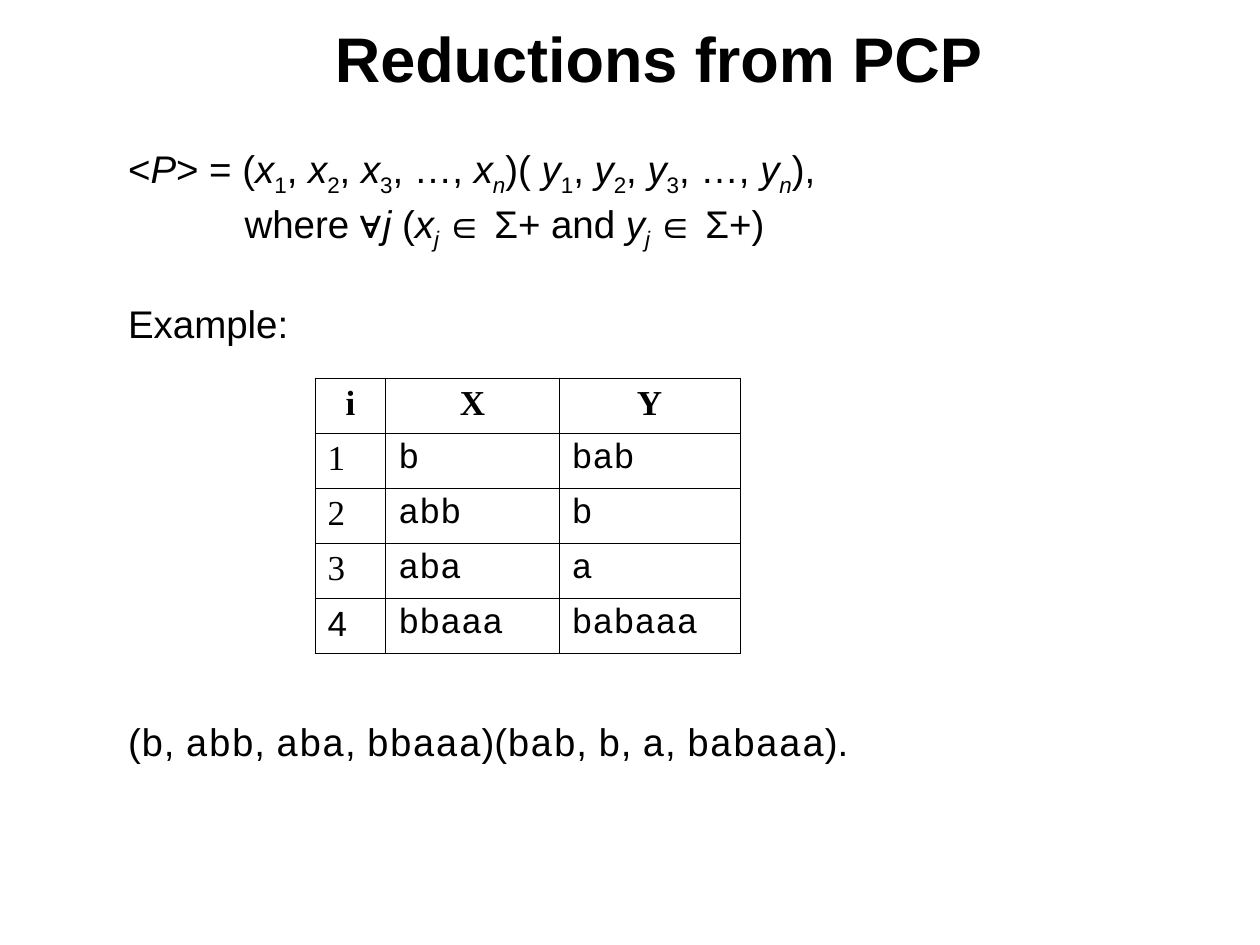
"""Build the slide that introduces reductions from PCP."""
from lxml import etree
from pptx import Presentation
from pptx.dml.color import RGBColor
from pptx.enum.text import MSO_ANCHOR, MSO_AUTO_SIZE, PP_ALIGN
from pptx.oxml.ns import qn
from pptx.util import Inches, Pt

CENTER, LEFT = PP_ALIGN.CENTER, PP_ALIGN.LEFT
TOP, MIDDLE = MSO_ANCHOR.TOP, MSO_ANCHOR.MIDDLE
NO_AUTOFIT = MSO_AUTO_SIZE.NONE

COLORS = {"ink": "000000", "paper": "FFFFFF"}
SANS, SERIF, MONO = "Arial", "Times New Roman", "Courier New"
GRID_COLUMNS, GRID_ROWS = 120, 90
UNIT = Inches(10) / GRID_COLUMNS

TOP_WORDS = ["b", "abb", "aba", "bbaaa"]
BOTTOM_WORDS = ["bab", "b", "a", "babaaa"]


def units(count):
    """Turn a count of grid units into a length."""
    return round(count * UNIT)


def place(shape, left, top, width, height):
    """Put a shape on the grid."""
    frame = {"left": left, "top": top, "width": width, "height": height}
    for name, count in frame.items():
        setattr(shape, name, units(count))


def add_run(paragraph, text, size, font=SANS, bold=False, italic=False, subscript=False):
    """Add one formatted run to a paragraph."""
    run = paragraph.add_run()
    run.text = text
    values = {"name": font, "size": Pt(size), "bold": bold, "italic": italic}
    for name, value in values.items():
        setattr(run.font, name, value)
    run.font.color.rgb = RGBColor.from_string(COLORS["ink"])
    if subscript:
        run.font._element.set("baseline", "-25000")


def indexed(letter, index):
    """Return the runs of an italic variable with its subscript."""
    return [(letter, {"italic": True}),
            (index, {"subscript": True, "italic": not index.isdigit()})]


def variable_list(letter):
    """Return the runs of a list of variables from 1 to n."""
    runs = []
    for index in "123":
        runs += indexed(letter, index) + [(", ", {})]
    return runs[:-1] + [(", …, ", {})] + indexed(letter, "n")


def word_list(words):
    """Return the runs of monospaced words parted by commas."""
    runs = []
    for word in words:
        runs += [(word, {"font": MONO}), (", ", {})]
    return runs[:-1]


def body_lines():
    """Return space before, indent and runs for each body line."""
    instance = [("<", {}), ("P", {"italic": True}), ("> = (", {}), *variable_list("x"),
                (")( ", {}), *variable_list("y"), ("),", {})]
    condition = [("where ∀", {}), ("j", {"italic": True}), (" (", {}),
                 *indexed("x", "j "), ("∈ Σ+ and ", {}),
                 *indexed("y", "j "), ("∈ Σ+)", {})]
    example = [("(", {}), *word_list(TOP_WORDS), (")(", {}),
               *word_list(BOTTOM_WORDS), (").", {})]
    return [(0, 0, instance), (1, 11.1, condition),
            (27.5, 0, [("Example:", {})]), (212.5, 0, example)]


def format_frame(frame, anchor):
    """Set the wrapping, fitting and anchor of a text frame."""
    values = {"word_wrap": True, "auto_size": NO_AUTOFIT, "vertical_anchor": anchor}
    for name, value in values.items():
        setattr(frame, name, value)


def fill_title(title):
    """Write the slide title."""
    place(title, 7, 0, 113, 11)
    format_frame(title.text_frame, MIDDLE)
    paragraph = title.text_frame.paragraphs[0]
    paragraph.alignment = CENTER
    add_run(paragraph, "Reductions from PCP ", 36, bold=True)


def fill_body(body):
    """Write the definition and the example."""
    place(body, 11, 13.25, 106, 59.5)
    frame = body.text_frame
    format_frame(frame, TOP)
    for number, (space, indent, runs) in enumerate(body_lines()):
        paragraph = frame.add_paragraph() if number else frame.paragraphs[0]
        properties = paragraph._p.get_or_add_pPr()
        properties.set("marL", str(units(indent)))
        properties.set("indent", "0")
        etree.SubElement(properties, qn("a:buNone"))
        paragraph.space_before = Pt(space)
        paragraph.alignment = LEFT
        for text, style in runs:
            add_run(paragraph, text, 22, **style)


def add_borders(cell):
    """Draw thin lines on all sides of a cell."""
    properties = cell._tc.get_or_add_tcPr()
    for side in ("lnL", "lnR", "lnT", "lnB"):
        line = etree.SubElement(properties, qn(f"a:{side}"), w=str(Pt(0.45)))
        fill = etree.SubElement(line, qn("a:solidFill"))
        etree.SubElement(fill, qn("a:srgbClr"), val=COLORS["ink"])


def fill_cell(cell, text, font, heading):
    """Write and format one table cell."""
    add_borders(cell)
    cell.fill.background()
    paragraph = cell.text_frame.paragraphs[0]
    paragraph.alignment = CENTER if heading else LEFT
    add_run(paragraph, text, 20, font, bold=heading)


def add_word_table(slide):
    """Add the table of word pairs."""
    pairs = zip(TOP_WORDS, BOTTOM_WORDS)
    rows = [("i", "X", "Y")] + [(str(i), *pair) for i, pair in enumerate(pairs, 1)]
    widths, row_height = [6.75, 16.5, 17.25], 5.25
    shape = slide.shapes.add_table(
        len(rows), len(widths), units(30), units(36),
        units(sum(widths)), units(row_height * len(rows)))
    table = shape.table
    table.first_row = table.horz_banding = False
    for column, width in zip(table.columns, widths):
        column.width = units(width)
    for row_number, row in enumerate(rows):
        table.rows[row_number].height = units(row_height)
        index_font = SANS if row_number == len(rows) - 1 else SERIF
        for column_number, text in enumerate(row):
            heading = row_number == 0
            font = MONO if column_number and not heading else index_font
            fill_cell(table.cell(row_number, column_number), text, font, heading)


def main():
    """Build and save the presentation."""
    presentation = Presentation()
    presentation.slide_width = units(GRID_COLUMNS)
    presentation.slide_height = units(GRID_ROWS)
    slide = presentation.slides.add_slide(presentation.slide_layouts[1])
    slide.background.fill.solid()
    slide.background.fill.fore_color.rgb = RGBColor.from_string(COLORS["paper"])
    fill_title(slide.shapes.title)
    fill_body(slide.placeholders[1])
    add_word_table(slide)
    presentation.save("out.pptx")


if __name__ == "__main__":
    main()
